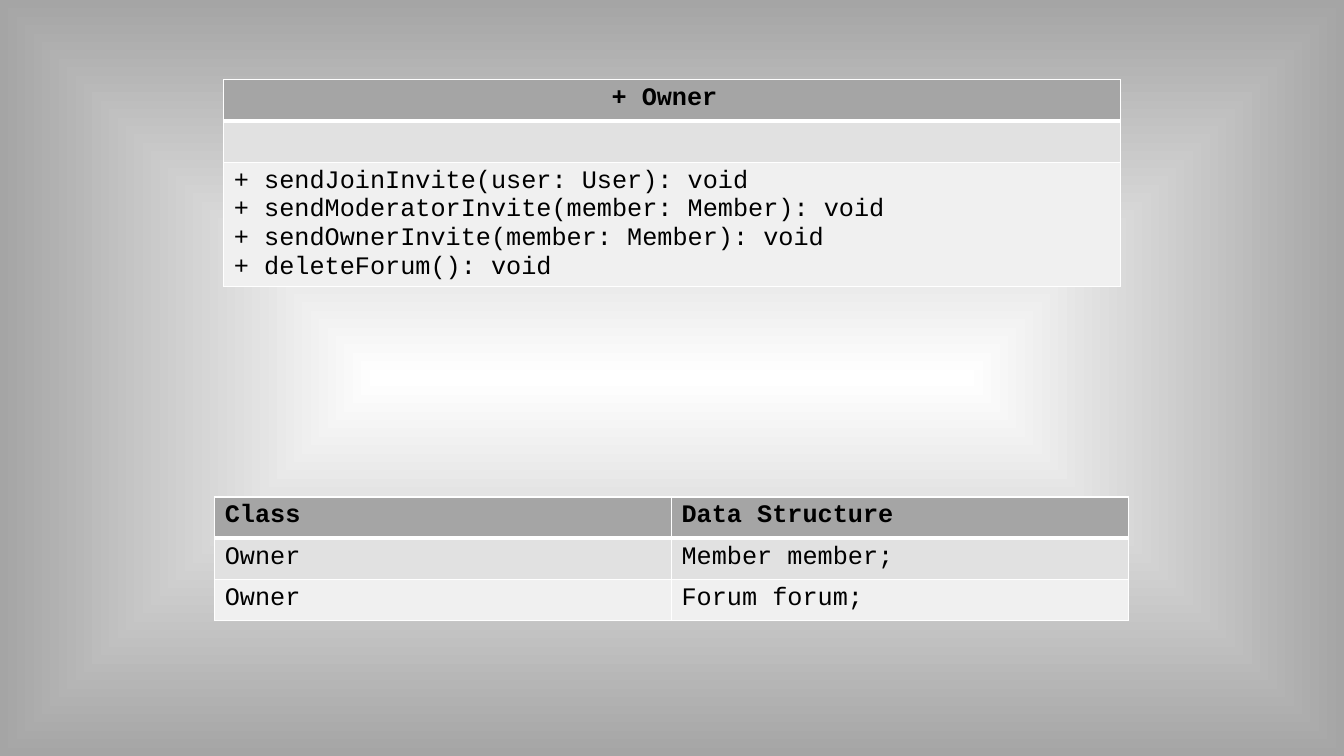
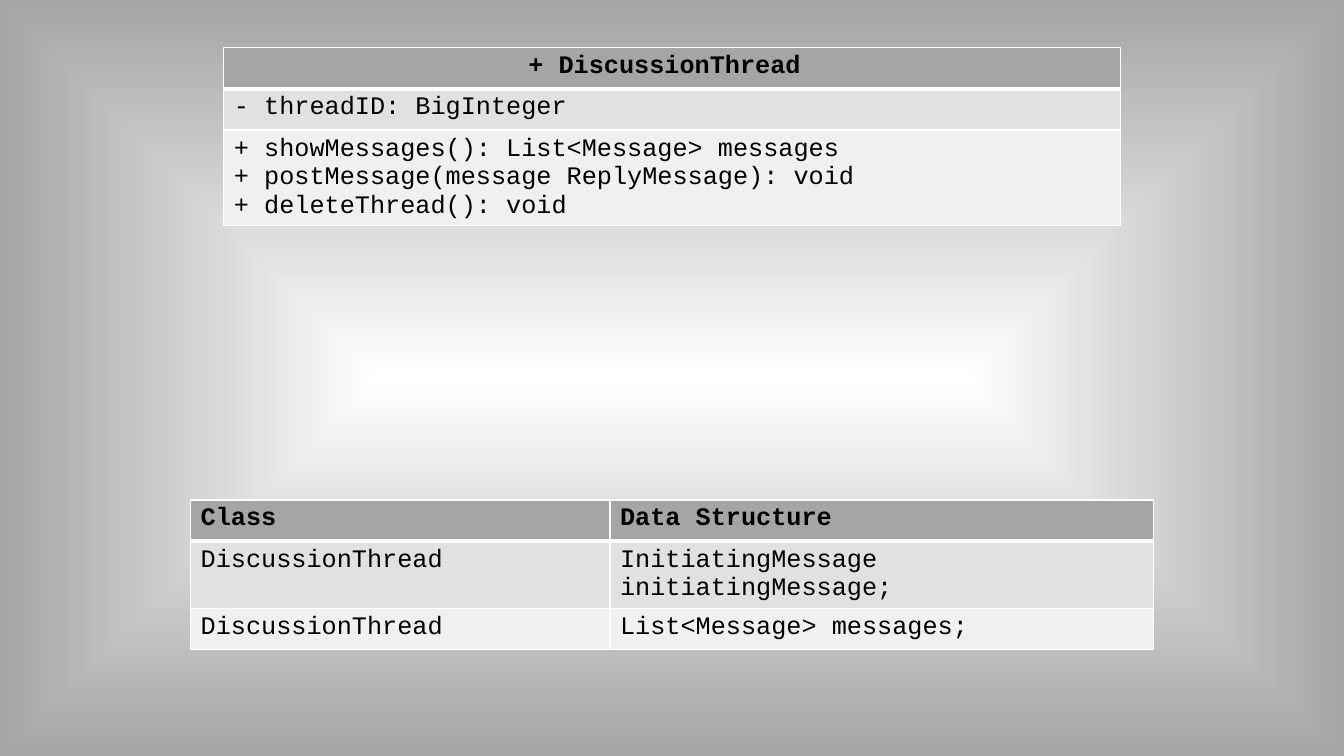
"""Build two class slides, each with a class diagram table and a data structure table."""
from lxml import etree
from pptx import Presentation
from pptx.dml.color import RGBColor
from pptx.enum.text import PP_ALIGN
from pptx.oxml import parse_xml
from pptx.oxml.ns import qn
from pptx.util import Inches, Pt

CENTER, LEFT = PP_ALIGN.CENTER, PP_ALIGN.LEFT
COLORS = {"text": "000000", "border": "FFFFFF", "center": "FFFFFF", "edge": "A5A5A5",
          "header": "A5A5A5", "odd": "E1E1E1", "even": "F0F0F0"}
FONT, FONT_SIZE = "Courier New", 18
ROW_HEIGHT = 0.41
THIN, THICK = 1, 3
DIAGRAM_LEFT, DIAGRAM_WIDTH = 2.22, 8.89
STRUCTURE_HEADER = ["Class", "Data Structure"]

CLASSES = [
    {
        "name": "Owner",
        "attributes": "",
        "methods": ["+ sendJoinInvite(user: User): void",
                    "+ sendModeratorInvite(member: Member): void",
                    "+ sendOwnerInvite(member: Member): void",
                    "+ deleteForum(): void"],
        "structures": ["Member member;", "Forum forum;"],
        "diagram_top": 0.79,
        "structure_at": (2.13, 4.93),
        "structure_columns": [4.53, 4.53],
    },
    {
        "name": "DiscussionThread",
        "attributes": "- threadID: BigInteger",
        "methods": ["+ showMessages(): List<Message> messages",
                    "+ postMessage(message ReplyMessage): void",
                    "+ deleteThread(): void"],
        "structures": ["InitiatingMessage initiatingMessage;", "List<Message> messages;"],
        "diagram_top": 0.47,
        "structure_at": (1.89, 4.96),
        "structure_columns": [4.16, 5.39],
    },
]


def style_cell(cell, text, row_index, header_align):
    is_header = row_index == 0
    for line_index, line in enumerate(text.split("\n") if text else []):
        frame = cell.text_frame
        paragraph = frame.paragraphs[0] if line_index == 0 else frame.add_paragraph()
        paragraph.alignment = header_align if is_header else LEFT
        run = paragraph.add_run()
        run.text = line
        run.font.name = FONT
        run.font.size = Pt(FONT_SIZE)
        run.font.bold = is_header
        run.font.color.rgb = RGBColor.from_string(COLORS["text"])

    cell.fill.solid()
    band = "header" if is_header else ("odd" if row_index % 2 else "even")
    cell.fill.fore_color.rgb = RGBColor.from_string(COLORS[band])

    widths = {"lnL": THIN, "lnR": THIN,
              "lnT": THICK if row_index == 1 else THIN,
              "lnB": THICK if is_header else THIN}
    properties = cell._tc.get_or_add_tcPr()
    for position, (side, width) in enumerate(widths.items()):
        border = etree.Element(qn(f"a:{side}"), w=str(Pt(width)))
        border_fill = etree.SubElement(border, qn("a:solidFill"))
        etree.SubElement(border_fill, qn("a:srgbClr"), val=COLORS["border"])
        properties.insert(position, border)


def add_grid(slide, left, top, column_widths, rows, header_align):
    grid = slide.shapes.add_table(
        len(rows), len(column_widths), Inches(left), Inches(top),
        Inches(sum(column_widths)), Inches(ROW_HEIGHT * len(rows))).table
    for column, width in zip(grid.columns, column_widths):
        column.width = Inches(width)
    for row_index, texts in enumerate(rows):
        grid.rows[row_index].height = Inches(ROW_HEIGHT)
        for column_index, text in enumerate(texts):
            style_cell(grid.cell(row_index, column_index), text, row_index, header_align)


deck = Presentation()
deck.slide_width, deck.slide_height = Inches(13.33), Inches(7.5)

master = deck.slide_master
master.background.fill.gradient()
linear_gradient = master.element.find(".//" + qn("p:bgPr") + "/" + qn("a:gradFill"))
radiating_gradient = parse_xml(
    '<a:gradFill xmlns:a="http://schemas.openxmlformats.org/drawingml/2006/main" rotWithShape="1">'
    f'<a:gsLst><a:gs pos="0"><a:srgbClr val="{COLORS["center"]}"/></a:gs>'
    f'<a:gs pos="100000"><a:srgbClr val="{COLORS["edge"]}"/></a:gs></a:gsLst>'
    '<a:path path="rect"><a:fillToRect l="50000" t="50000" r="50000" b="50000"/></a:path>'
    '</a:gradFill>')
linear_gradient.getparent().replace(linear_gradient, radiating_gradient)

blank_layout = deck.slide_layouts[6]
for entry in CLASSES:
    slide = deck.slides.add_slide(blank_layout)
    structure_rows = [STRUCTURE_HEADER] + [[entry["name"], item] for item in entry["structures"]]
    add_grid(slide, *entry["structure_at"], entry["structure_columns"], structure_rows, LEFT)
    diagram_rows = [[f"+ {entry['name']} "], [entry["attributes"]], ["\n".join(entry["methods"])]]
    add_grid(slide, DIAGRAM_LEFT, entry["diagram_top"], [DIAGRAM_WIDTH], diagram_rows, CENTER)

deck.save("out.pptx")
